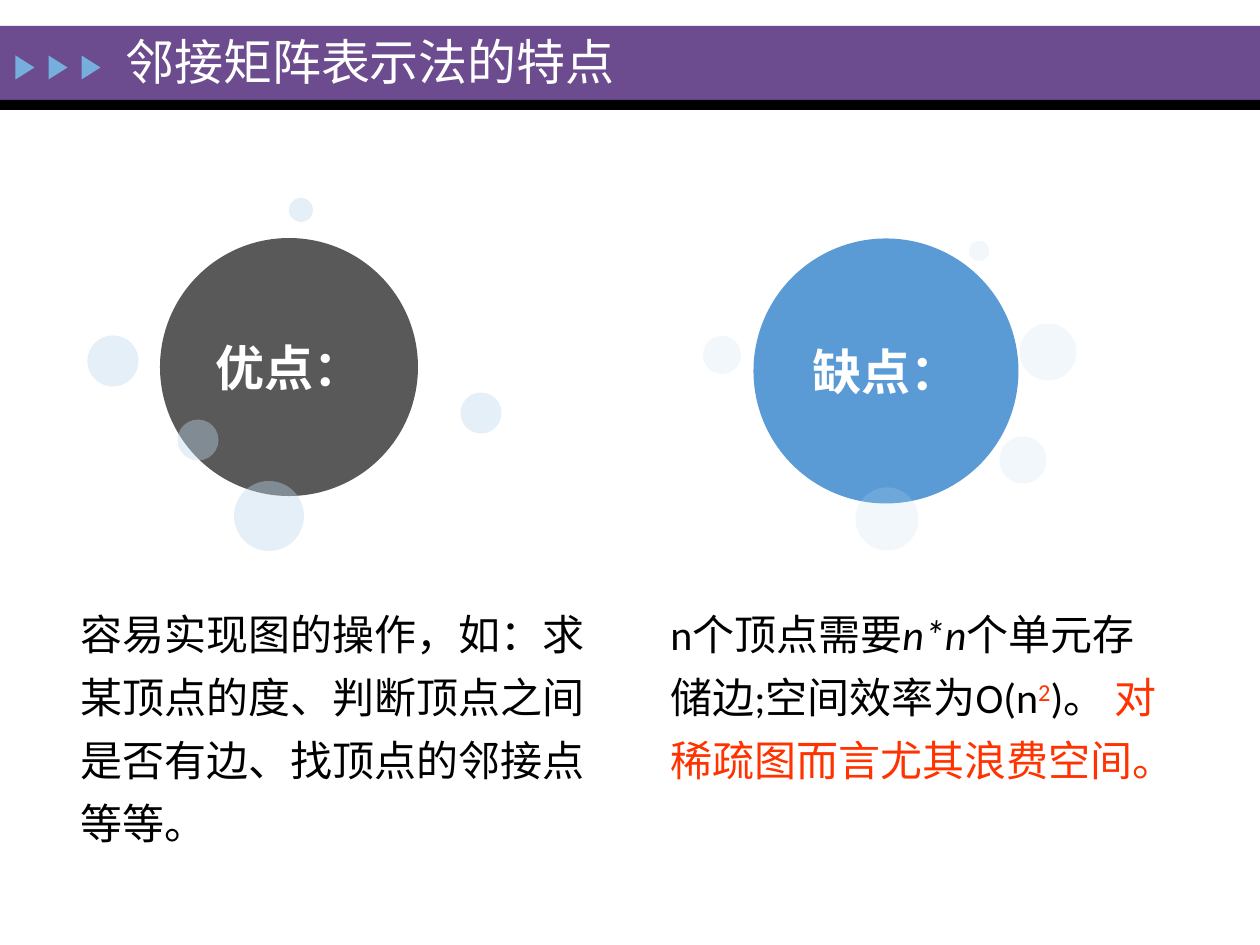
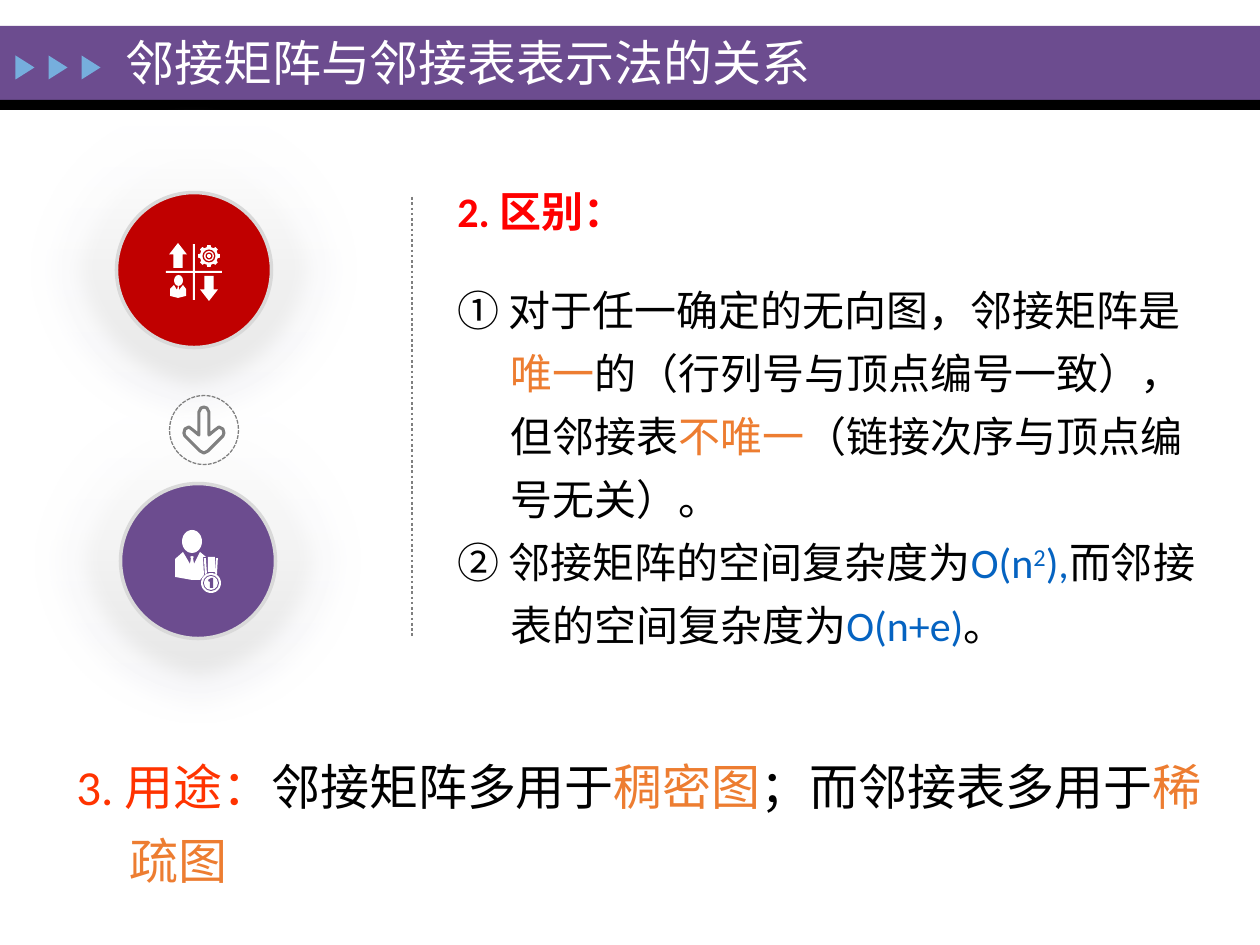
"""Builds two slides on adjacency matrices: pros and cons, and comparison with adjacency lists."""
import math

import pptx
import pptx.dml.color
import pptx.enum.dml
import pptx.enum.shapes
import pptx.enum.text
import pptx.oxml.ns
import pptx.util
from lxml import etree

SHAPE = pptx.enum.shapes.MSO_SHAPE
DASH = pptx.enum.dml.MSO_LINE
ALIGN = pptx.enum.text.PP_ALIGN
ANCHOR = pptx.enum.text.MSO_ANCHOR
qn = pptx.oxml.ns.qn

PX = 914400 / 126
FONT = "Calibri"
PURPLE, BLACK, WHITE, RED = "6C4C8F", "000000", "FFFFFF", "C00000"
ORANGE, SCARLET, BLUE, GREY = "ED7D31", "FF3300", "0563C1", "808080"

BANDS = [((0, 26, 1260, 74), PURPLE), ((0, 100, 1260, 10), BLACK)]
MARKERS = {"first": (13, 58, 24, 19), "step": 33, "count": 3, "color": "76AEDD"}

VERDICTS = [
    {
        "label": "优点：", "circle": (289, 367, 258), "color": "595959", "opacity": 40,
        "bubbles": [(481, 413, 41), (198, 440, 41), (269, 516, 70), (301, 210, 24), (113, 361, 51)],
        "box": (68, 590, 532, 267),
        "detail": [[("容易实现图的操作，如：求某顶点的度、判断顶点之间是否有边、找顶点的邻接点等等。", BLACK)]],
    },
    {
        "label": "缺点：", "circle": (886, 371, 265), "color": "5B9BD5", "opacity": 20,
        "bubbles": [(722, 355, 38), (887, 519, 63), (979, 251, 20), (1023, 460, 47), (1048, 352, 57)],
        "box": (658, 590, 522, 204),
        "detail": [[
            ("n个顶点需要", BLACK), ("n*n", BLACK, "italic"), ("个单元存储边;空间效率为O(n", BLACK),
            ("2", SCARLET, "super"), (")。 ", BLACK), ("对稀疏图而言尤其浪费空间。", SCARLET),
        ]],
    },
]

DIFFERENCE_TITLE = [[("2. 区别：", "FF0000", "bold")]]
DIFFERENCES = [
    [("① 对于任一确定的无向图，邻接矩阵是", BLACK), ("唯一", ORANGE),
     ("的（行列号与顶点编号一致），但邻接表", BLACK), ("不唯一", ORANGE),
     ("（链接次序与顶点编号无关）。", BLACK)],
    [("② 邻接矩阵的空间复杂度为", BLACK), ("O(n", BLUE), ("2", BLUE, "super"), ("),", BLUE),
     ("而邻接表的空间复杂度为", BLACK), ("O(n+e)", BLUE), ("。", BLACK)],
]
USES = [[("3. 用途：", SCARLET), ("邻接矩阵多用于", BLACK), ("稠密图", ORANGE),
         ("；而邻接表多用于", BLACK), ("稀疏图", ORANGE)]]

HALOS = [(328, "F7F7F9"), (270, "E4E4E4")]
CROSS_BARS = [(193, 244, 2, 56), (166, 271, 56, 2)]
SWAP_ARROWS = [(SHAPE.UP_ARROW, (169, 243, 18, 25)), (SHAPE.DOWN_ARROW, (200, 276, 18, 25))]
GEAR = {"center": (209, 256), "teeth": 8, "rings": [(13, RED), (10, WHITE), (7, RED), (4, WHITE)]}
WORKER_HEAD = (174, 275, 9, 11)
WORKER_BODY = [(183, 285), (179, 290), (179, 287), (178, 286), (177, 290), (174, 285), (170, 289),
               (170, 296), (178, 298), (186, 296), (186, 289)]
WINNER_HEAD = (182, 530, 20, 23)
WINNER_BODY = [(204, 575), (203, 557), (206, 557), (200, 552), (194, 564), (193, 558), (194, 557),
               (192, 556), (190, 557), (191, 558), (190, 564), (183, 552), (175, 559), (175, 577),
               (192, 580), (200, 580)]
RIBBON = (208, 557, 7, 15)
RIBBON_EDGES = [[(204, 558), (206, 558), (207, 573), (205, 575)],
                [(218, 558), (216, 558), (215, 573), (217, 575)]]
MEDAL = {"center": (211, 583), "rings": [(20, WHITE), (16, PURPLE), (14, WHITE)]}
MEDAL_ONE = [(213, 578), (211, 578), (208, 580), (209, 582), (210, 581), (210, 588), (213, 588)]
ARROW_HALF = [(204, 407), (207, 408), (209, 412), (209, 435), (215, 430), (219, 427), (223, 429),
              (224, 433), (223, 436), (208, 451), (204, 453)]


def emu(length):
    return pptx.util.Emu(round(length * PX))


def rgb(color):
    return pptx.dml.color.RGBColor.from_string(color)


def paint(part, fill=None, line=None, width=1, dash=None):
    part.shadow.inherit = False
    if fill:
        part.fill.solid()
        part.fill.fore_color.rgb = rgb(fill)
    else:
        part.fill.background()
    if line:
        part.line.color.rgb = rgb(line)
        part.line.width = pptx.util.Pt(width)
        if dash:
            part.line.dash_style = dash
    else:
        part.line.fill.background()
    return part


def preset(slide, kind, box, fill=None, **outline):
    return paint(slide.shapes.add_shape(kind, *map(emu, box)), fill, **outline)


def disc(slide, center, diameter, fill=None, **outline):
    left, top = (c - diameter / 2 for c in center)
    return preset(slide, SHAPE.OVAL, (left, top, diameter, diameter), fill, **outline)


def rings(slide, center, layers):
    for diameter, color in layers:
        disc(slide, center, diameter, color)


def polygon(slide, points, fill=None, **outline):
    corners = [(emu(x), emu(y)) for x, y in points]
    builder = slide.shapes.build_freeform(*corners[0])
    builder.add_line_segments(corners[1:], close=True)
    return paint(builder.convert_to_shape(), fill, **outline)


def write(frame, paragraphs, size, spacing=None, hanging=0, align=None):
    for index, runs in enumerate(paragraphs):
        paragraph = frame.add_paragraph() if index else frame.paragraphs[0]
        if spacing:
            paragraph.line_spacing = spacing
        if align is not None:
            paragraph.alignment = align
        if hanging:
            properties = paragraph._p.get_or_add_pPr()
            properties.set("marL", str(emu(hanging)))
            properties.set("indent", str(-emu(hanging)))
        for text, color, *styles in runs:
            run = paragraph.add_run()
            run.text = text
            run.font.name = FONT
            run.font.size = pptx.util.Pt(size)
            run.font.color.rgb = rgb(color)
            if "bold" in styles:
                run.font.bold = True
            if "italic" in styles:
                run.font.italic = True
            if "super" in styles:
                run._r.get_or_add_rPr().set("baseline", "30000")


def textbox(slide, box, paragraphs, size=24, anchor=ANCHOR.TOP, **layout):
    frame = slide.shapes.add_textbox(*map(emu, box)).text_frame
    frame.word_wrap = True
    frame.vertical_anchor = anchor
    write(frame, paragraphs, size, **layout)


def titled_slide(deck, title, top):
    slide = deck.slides.add_slide(deck.slide_layouts[6])
    for box, color in BANDS:
        preset(slide, SHAPE.RECTANGLE, box, color)
    left, marker_top, width, height = MARKERS["first"]
    for index in range(MARKERS["count"]):
        box = (left + index * MARKERS["step"], marker_top, width, height)
        preset(slide, SHAPE.ISOSCELES_TRIANGLE, box, MARKERS["color"]).rotation = 90
    textbox(slide, (113, top, 1071, 71), [[(title, WHITE)]], 28, ANCHOR.MIDDLE)
    return slide


def verdict(slide, side):
    textbox(slide, side["box"], side["detail"], spacing=1.25)
    *center, diameter = side["circle"]
    frame = disc(slide, center, diameter, side["color"]).text_frame
    frame.word_wrap = False
    frame.vertical_anchor = ANCHOR.MIDDLE
    frame.margin_left = frame.margin_right = frame.margin_top = frame.margin_bottom = 0
    write(frame, [[(side["label"], WHITE, "bold")]], 28, align=ALIGN.CENTER)
    for *center, diameter in side["bubbles"]:
        bubble = disc(slide, center, diameter, "BDD7EE")
        tint = bubble._element.spPr.find(".//" + qn("a:srgbClr"))
        etree.SubElement(tint, qn("a:alpha")).set("val", str(side["opacity"] * 1000))


def badge(slide, center, color):
    for diameter, shade in HALOS:
        halo = disc(slide, center, diameter, WHITE)
        halo.fill.gradient()
        halo.fill.gradient_angle = 270
        for stop, stop_color in zip(halo.fill.gradient_stops, (WHITE, shade)):
            stop.color.rgb = rgb(stop_color)
        effects = halo._element.spPr.find(qn("a:effectLst"))
        etree.SubElement(effects, qn("a:softEdge")).set("rad", str(emu(20)))
    disc(slide, center, 155, color, line="D9D9D9", width=2)


def swap_icon(slide):
    for bar in CROSS_BARS:
        preset(slide, SHAPE.RECTANGLE, bar, WHITE)
    for kind, box in SWAP_ARROWS:
        preset(slide, kind, box, WHITE).adjustments[1] = 0.64
    x, y = GEAR["center"]
    rim = []
    for tooth in range(GEAR["teeth"]):
        for offset, radius in ((-14, 9), (-9, 11), (9, 11), (14, 9)):
            angle = math.radians(tooth * 360 / GEAR["teeth"] + offset)
            rim.append((x + radius * math.cos(angle), y + radius * math.sin(angle)))
    polygon(slide, rim, WHITE)
    rings(slide, GEAR["center"], GEAR["rings"])
    preset(slide, SHAPE.OVAL, WORKER_HEAD, WHITE)
    polygon(slide, WORKER_BODY, WHITE)


def winner_icon(slide):
    preset(slide, SHAPE.OVAL, WINNER_HEAD, WHITE)
    preset(slide, SHAPE.RECTANGLE, RIBBON, WHITE)
    for outline in [WINNER_BODY, *RIBBON_EDGES]:
        polygon(slide, outline, WHITE)
    rings(slide, MEDAL["center"], MEDAL["rings"])
    polygon(slide, MEDAL_ONE, PURPLE)


def down_arrow(slide):
    disc(slide, (204, 430), 69, line=GREY, width=0.75, dash=DASH.SQUARE_DOT)
    axis = ARROW_HALF[0][0]
    mirrored = [(2 * axis - x, y) for x, y in ARROW_HALF[-2:0:-1]]
    polygon(slide, ARROW_HALF + mirrored, line=GREY, width=1.75)


def divider(slide):
    rule = slide.shapes.add_connector(
        pptx.enum.shapes.MSO_CONNECTOR.STRAIGHT, *map(emu, (412, 197, 412, 638)))
    rule.line.color.rgb = rgb("7F7F7F")
    rule.line.width = pptx.util.Pt(1.5)
    rule.line.dash_style = DASH.ROUND_DOT
    etree.SubElement(rule._element.spPr, qn("a:effectLst"))


def main():
    deck = pptx.Presentation()
    deck.slide_width, deck.slide_height = emu(1260), emu(945)

    features = titled_slide(deck, "邻接矩阵表示法的特点", 25)
    for side in VERDICTS:
        verdict(features, side)

    relation = titled_slide(deck, "邻接矩阵与邻接表表示法的关系", 26)
    badge(relation, (194, 270), RED)
    swap_icon(relation)
    badge(relation, (198, 561), PURPLE)
    winner_icon(relation)
    down_arrow(relation)
    divider(relation)
    textbox(relation, (445, 179, 614, 64), DIFFERENCE_TITLE)
    textbox(relation, (445, 266, 774, 394), DIFFERENCES, spacing=1.25, hanging=53)
    textbox(relation, (64, 736, 1184, 155), USES, 28, spacing=1.25, hanging=53)
    deck.save("out.pptx")


if __name__ == "__main__":
    main()
